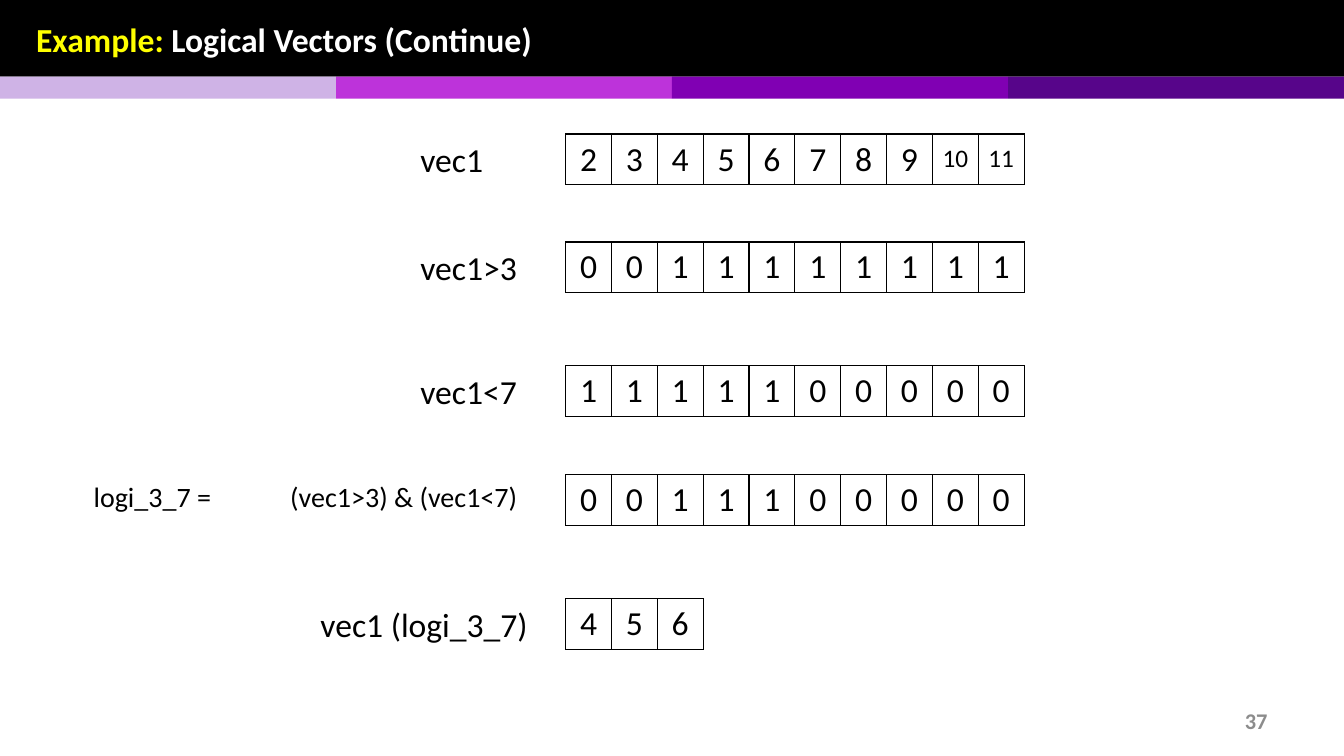
from pptx import Presentation
from pptx.util import Inches, Pt
from pptx.dml.color import RGBColor
from pptx.enum.shapes import MSO_SHAPE
from pptx.enum.text import MSO_ANCHOR, PP_ALIGN
from pptx.oxml import parse_xml
from pptx.oxml.ns import nsdecls

# Content
TITLE = [("Example: ", "yellow"), ("Logical Vectors (Continue)", "white")]
PAGE = "37"
BANDS = ["lilac", "pink", "violet", "purple"]
# top, values, labels as (text, left, size)
ROWS = [
    (1.33, range(2, 12), [("vec1", 4.07, 24)]),
    (2.4, [0] * 2 + [1] * 8, [("vec1>3", 4.07, 24)]),
    (3.63, [1] * 5 + [0] * 5, [("vec1<7", 4.07, 24)]),
    (4.71, [0] * 2 + [1] * 3 + [0] * 5,
     [("(vec1>3) & (vec1<7)", 2.78, 20), ("logi_3_7 =", 0.83, 20)]),
    (5.94, [4, 5, 6], [("vec1 (logi_3_7)", 3.08, 24)]),
]
COLORS = {
    "black": "000000", "white": "FFFFFF", "yellow": "FFFF00", "gray": "8C8C8C",
    "lilac": "CFB3E6", "pink": "BD33DA", "violet": "8000B3", "purple": "57058A",
}
FONT = "Calibri"

# Layout
WIDE, HIGH = 13.33, 7.5
HEAD, STRIPE = 0.76, 0.22
GRID, CELL, ROW = 5.61, 0.455, 0.5
EDGE = 5.43  # right end of the label boxes

deck = Presentation()
deck.slide_width, deck.slide_height = Inches(WIDE), Inches(HIGH)
slide = deck.slides.add_slide(deck.slide_layouts[6])


def color(name):
    return RGBColor.from_string(COLORS[name])


def style(run, size, name="black", bold=False):
    font = run.font
    font.name, font.size, font.bold = FONT, Pt(size), bold
    font.color.rgb = color(name)


def bar(left, top, width, height, name):
    shape = slide.shapes.add_shape(
        MSO_SHAPE.RECTANGLE, *map(Inches, (left, top, width, height)))
    shape.shadow.inherit = False
    shape.fill.solid()
    shape.fill.fore_color.rgb = color(name)
    shape.line.fill.background()


def label(box, parts, size, bold=False, anchor=MSO_ANCHOR.TOP,
          align=PP_ALIGN.LEFT):
    frame = slide.shapes.add_textbox(*map(Inches, box)).text_frame
    frame.word_wrap = True
    frame.vertical_anchor = anchor
    para = frame.paragraphs[0]
    para.alignment = align
    for text, name in parts:
        run = para.add_run()
        run.text = text
        style(run, size, name, bold)


def border(cell):
    props = cell._tc.get_or_add_tcPr()
    for i, side in enumerate(("lnL", "lnR", "lnT", "lnB")):
        props.insert(i, parse_xml(
            f'<a:{side} {nsdecls("a")} w="12700"><a:solidFill>'
            f'<a:srgbClr val="{COLORS["black"]}"/></a:solidFill></a:{side}>'))


def vector(top, values):
    count = len(values)
    table = slide.shapes.add_table(
        1, count, Inches(GRID), Inches(top),
        Inches(CELL * count), Inches(ROW)).table
    table.first_row = table.horz_banding = False
    for i, value in enumerate(values):
        table.columns[i].width = Inches(CELL)
        cell = table.cell(0, i)
        cell.fill.background()
        cell.vertical_anchor = MSO_ANCHOR.MIDDLE
        para = cell.text_frame.paragraphs[0]
        para.text = str(value)
        para.alignment = PP_ALIGN.CENTER
        style(para.runs[0], 18 if value > 9 else 24)
        border(cell)


# Header, stripe and page number
bar(0, 0, WIDE, HEAD, "black")
band = WIDE / len(BANDS)
for i, name in enumerate(BANDS):
    bar(i * band, HEAD, band, STRIPE, name)
label((9.56, 6.95, 3.11, 0.4), [(PAGE, "gray")], 16, True,
      MSO_ANCHOR.MIDDLE, PP_ALIGN.RIGHT)
label((0.26, 0.01, 12.82, 0.75), TITLE, 24, True, MSO_ANCHOR.MIDDLE)

# Vectors with their labels
for top, values, labels in ROWS:
    vector(top, values)
    for text, left, size in labels:
        width = min(EDGE - left, 2.65)
        label((left, top, width, ROW), [(text, "black")], size)

deck.save("out.pptx")
